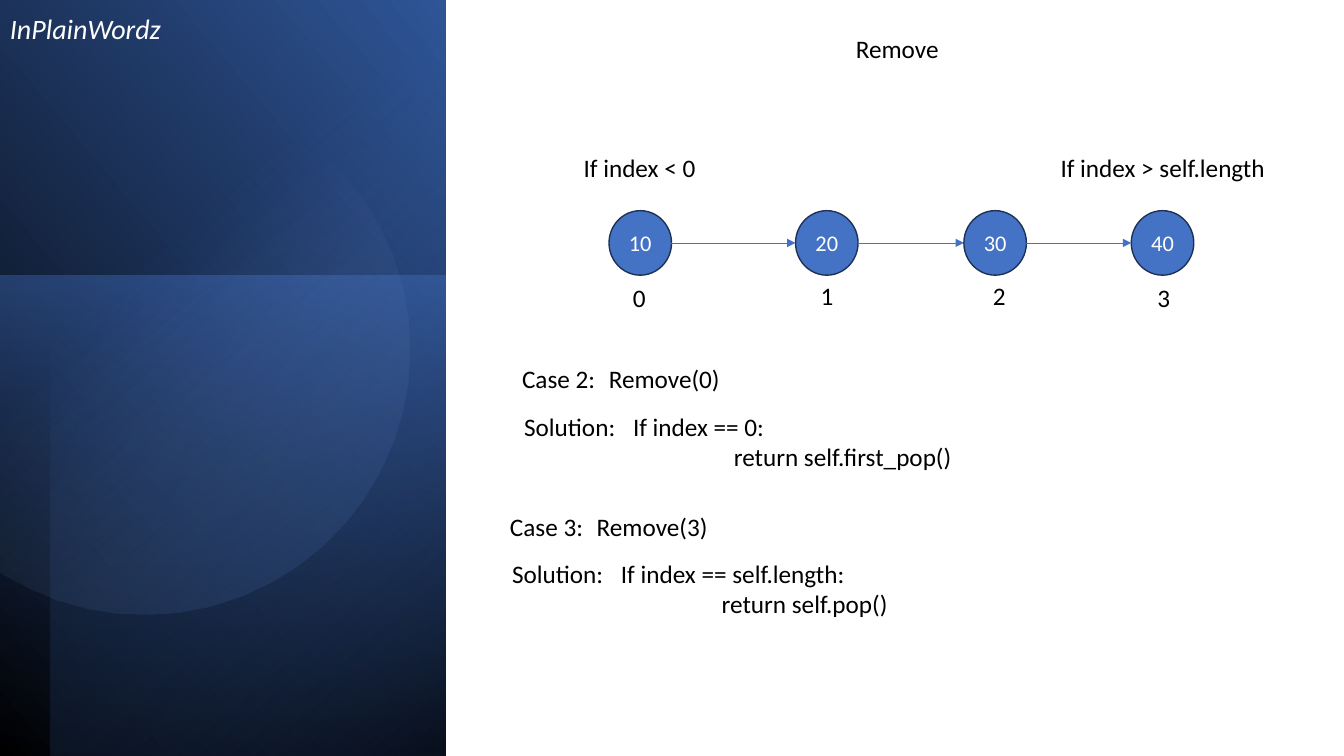
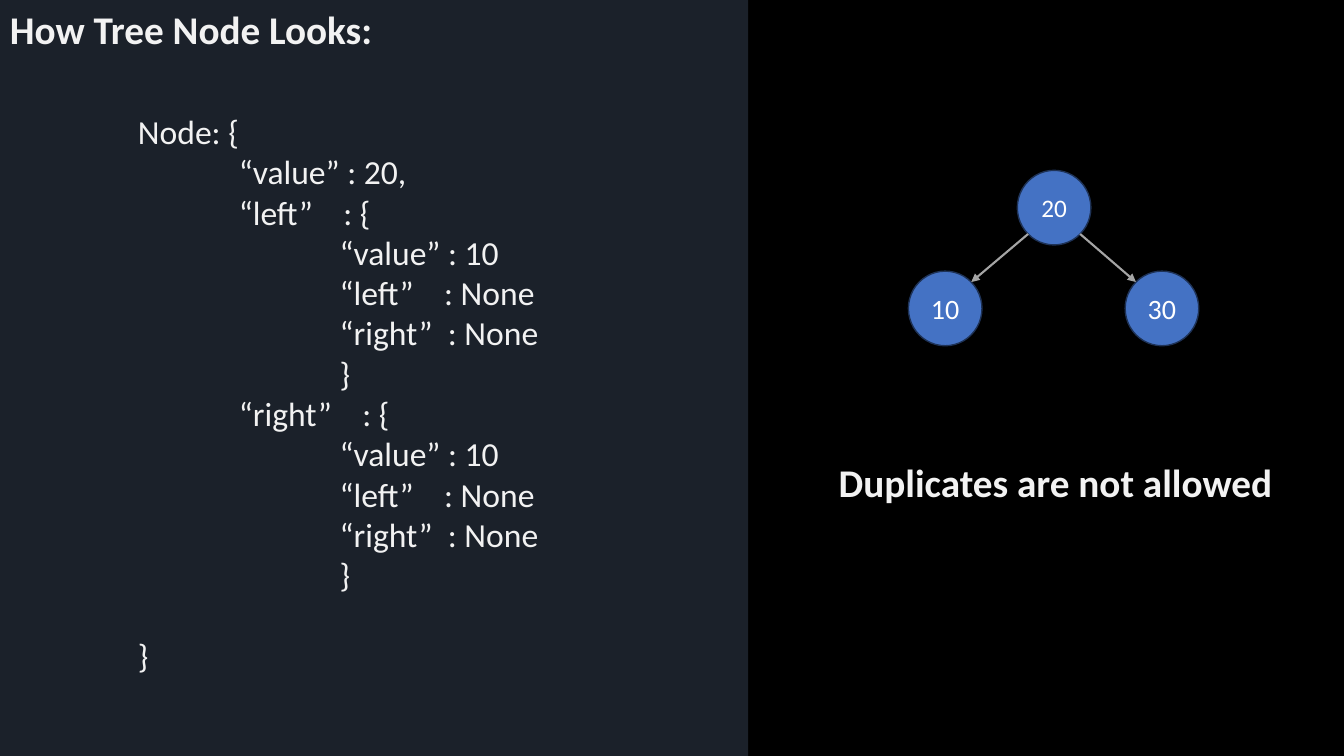
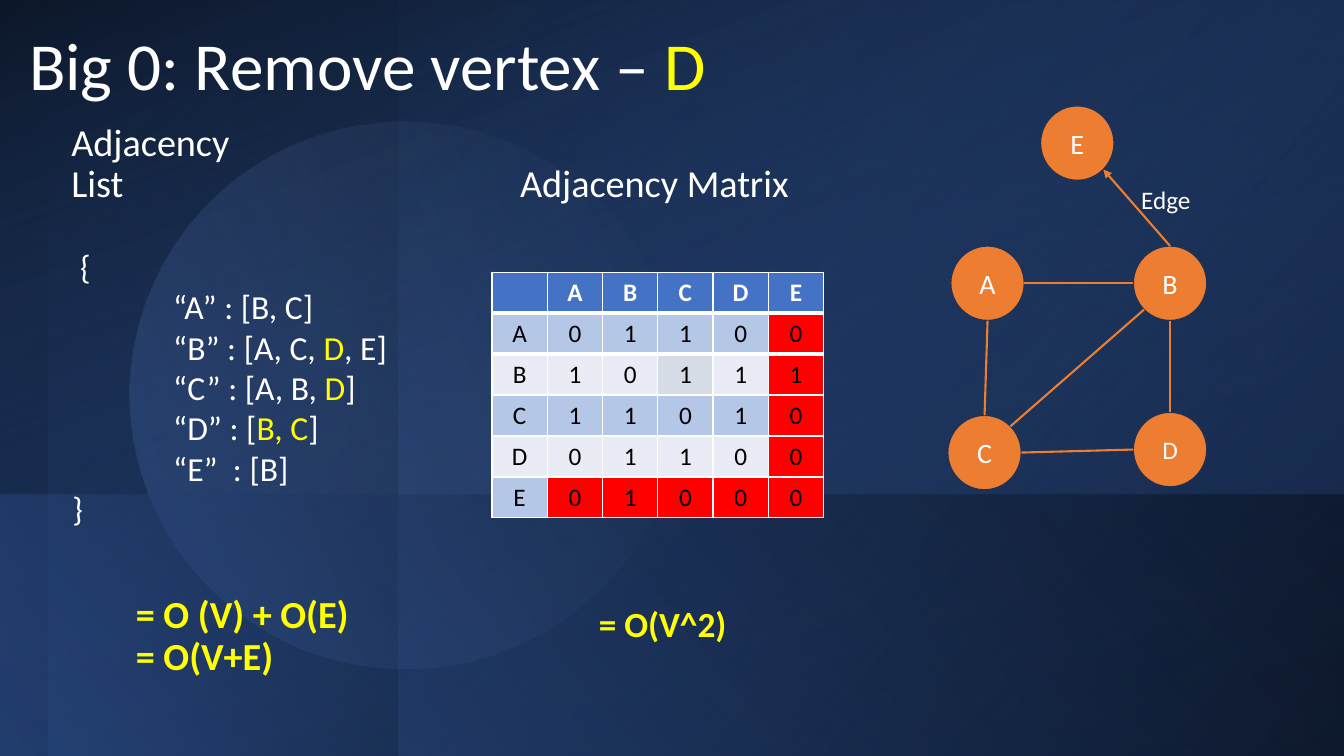
import math
from pptx import Presentation
from pptx.dml.color import RGBColor
from pptx.enum import shapes as es, text as et
from pptx.oxml import parse_xml
from pptx.oxml.ns import nsdecls, qn
from pptx.util import Inches, Pt

FONT = "Calibri"
WHITE = RGBColor(0xFF, 0xFF, 0xFF)
PALE = RGBColor(0xF2, 0xF2, 0xF2)
BLACK = RGBColor(0, 0, 0)
SLATE = RGBColor(0x44, 0x54, 0x6A)
GREY = RGBColor(0xA5, 0xA5, 0xA5)
BLUE = RGBColor(0x44, 0x72, 0xC4)
DEEP = RGBColor(0x2F, 0x55, 0x97)
NAVY = RGBColor(0x20, 0x38, 0x64)
SKY = RGBColor(0x8F, 0xAA, 0xDC)
RIM = RGBColor(0x1E, 0x32, 0x56)
ORANGE = RGBColor(0xED, 0x7D, 0x31)
YELLOW = RGBColor(0xFF, 0xFF, 0)
RED = RGBColor(0xFF, 0, 0)
BAND = RGBColor(0xB4, 0xC7, 0xE7)
LIGHT = RGBColor(0xE9, 0xEB, 0xF5)
MARK = RGBColor(0xD6, 0xDC, 0xE5)

OVAL = es.MSO_SHAPE.OVAL
RECT = es.MSO_SHAPE.RECTANGLE
TOP, BOTTOM = et.MSO_ANCHOR.TOP, et.MSO_ANCHOR.BOTTOM


def paint(shape, stops, angle=0):
    """Fill with (position, colour, opacity) stops; one stop gives a plain fill."""
    shape.shadow.inherit = False
    shape.fill.background()
    shape.line.fill.background()
    tints = [f'<a:srgbClr val="{tint}"><a:alpha val="{alpha * 1000}"/></a:srgbClr>'
             for _, tint, alpha in stops]
    if len(stops) == 1:
        xml = f'<a:solidFill {nsdecls("a")}>{tints[0]}</a:solidFill>'
    else:
        marks = "".join(f'<a:gs pos="{stop[0] * 1000}">{tint}</a:gs>'
                        for stop, tint in zip(stops, tints))
        xml = (f'<a:gradFill {nsdecls("a")} rotWithShape="1"><a:gsLst>{marks}</a:gsLst>'
               f'<a:lin ang="{round(angle * 60000)}" scaled="0"/></a:gradFill>')
    props = shape._element.spPr
    props.replace(props.find(qn("a:noFill")), parse_xml(xml))


def panel(slide, box, stops, angle=0, turn=0, flip=False, kind=RECT):
    shape = slide.shapes.add_shape(kind, *map(Inches, box))
    shape.rotation = turn
    if flip:
        shape._element.spPr.find(qn("a:xfrm")).set("flipH", "1")
    paint(shape, stops, angle)


def cut_disc(slide, x, y, radius, stops, angle):
    """Draw a disc cut off at the slide's left edge."""
    limit = math.acos(-x / radius)
    turns = [limit * (i / 18 - 1) for i in range(37)]
    points = [(Inches(x + radius * math.cos(t)), Inches(y + radius * math.sin(t)))
              for t in turns]
    path = slide.shapes.build_freeform(*points[0])
    path.add_line_segments(points[1:], close=True)
    paint(path.convert_to_shape(), stops, angle)


def write(slide, box, lines, size=18, color=BLACK, bold=False, italic=False,
          anchor=TOP, wrap=False, spacing=None):
    """Add text; parts between asterisks turn yellow."""
    frame = slide.shapes.add_textbox(*map(Inches, box)).text_frame
    frame.word_wrap = wrap
    frame.vertical_anchor = anchor
    for i, line in enumerate(lines.split("\n")):
        para = frame.paragraphs[0] if i == 0 else frame.add_paragraph()
        para._p.get_or_add_pPr().set("defTabSz", str(Inches(1)))
        style(para, size, color, bold)
        para.font.italic = italic
        if spacing:
            para.line_spacing = spacing
        for j, part in enumerate(line.split("*")):
            if part:
                run = para.add_run()
                run.text = part
                if j % 2:
                    run.font.color.rgb = YELLOW
    return frame


def style(para, size, color, bold=False):
    font = para.font
    font.name, font.size, font.bold = FONT, Pt(size), bold
    font.color.rgb = color


def node(slide, label, x, y, fill=BLUE, size=20, wide=0.73, high=0.74):
    shape = slide.shapes.add_shape(OVAL, *map(Inches, (x, y, wide, high)))
    shape.shadow.inherit = False
    shape.fill.solid()
    shape.fill.fore_color.rgb = fill
    shape.line.color.rgb = RIM
    shape.line.width = Pt(1)
    frame = shape.text_frame
    frame.margin_left = frame.margin_right = 0
    frame.vertical_anchor = et.MSO_ANCHOR.MIDDLE
    para = frame.paragraphs[0]
    para.text = label
    para.alignment = et.PP_ALIGN.CENTER
    style(para, size, WHITE)
    return shape


def rim(shape, angle):
    """Point on a node's outline, clockwise in degrees from its right side."""
    turn = math.radians(angle)
    return (round(shape.left + shape.width / 2 * (1 + math.cos(turn))),
            round(shape.top + shape.height / 2 * (1 + math.sin(turn))))


def link(slide, start, out, end, into, color, width=1.5, arrow=False):
    line = slide.shapes.add_connector(es.MSO_CONNECTOR.STRAIGHT,
                                      *rim(start, out), *rim(end, into))
    line.line.color.rgb = color
    line.line.width = Pt(width)
    props = line._element.spPr
    if arrow:
        props.find(qn("a:ln")).append(
            parse_xml(f'<a:tailEnd {nsdecls("a")} type="triangle"/>'))
    props.append(parse_xml(f'<a:effectLst {nsdecls("a")}/>'))


def rule(cell, side, width):
    """Give one side of a cell a white border."""
    cell._tc.get_or_add_tcPr().insert(0, parse_xml(
        f'<a:{side} {nsdecls("a")} w="{Pt(width)}"><a:solidFill>'
        f'<a:srgbClr val="{WHITE}"/></a:solidFill></a:{side}>'))


def matrix(slide, names, rows):
    count = len(names) + 1
    table = slide.shapes.add_table(count, count, Inches(4.88), Inches(2.7),
                                   Inches(3.29), Inches(2.44)).table
    grid = [" " + names] + [name + row for name, row in zip(names, rows)]
    for r, row in enumerate(grid):
        for c, value in enumerate(row):
            cell = table.cell(r, c)
            cell.vertical_anchor = et.MSO_ANCHOR.MIDDLE
            cell.fill.solid()
            if r == 0:
                fill = BLUE
                rule(cell, "lnB", 3)
            elif c and count - 1 in (r, c):
                fill = RED
            elif (r, c) == (2, 3):
                fill = MARK
            else:
                fill = BAND if r % 2 else LIGHT
            if r == 1:
                rule(cell, "lnT", 3)
            cell.fill.fore_color.rgb = fill
            para = cell.text_frame.paragraphs[0]
            para.text = value.strip()
            para.alignment = et.PP_ALIGN.CENTER
            style(para, 18, BLACK if r else WHITE, r == 0)


def list_slide(slide):
    panel(slide, (-1.55, 1.55, 7.52, 4.42), [(0, BLACK, 100), (100, DEEP, 100)], 310, 90, True)
    panel(slide, (-0.17, 2.9, 4.76, 4.42), [(0, BLUE, 50), (100, NAVY, 0)], 190, 270)
    panel(slide, (-1.29, 1.79, 7.5, 3.92), [(0, BLACK, 59), (69, BLUE, 0)], 220, 270, True)
    cut_disc(slide, 1.43, 3.47, 2.63, [(39, SKY, 0), (100, DEEP, 26)], 51.6)
    write(slide, (0, -0.03, 1.88, 0.53), "InPlainWordz", 20, WHITE, italic=True,
          anchor=BOTTOM, spacing=0.9)
    write(slide, (8.39, 0.28, 1.03, 0.4), "Remove")

    nodes = [node(slide, label, x, 2.09, size=16, wide=0.62, high=0.64)
             for label, x in (("10", 6.04), ("20", 7.89), ("30", 9.56), ("40", 11.22))]
    for start, end in zip(nodes, nodes[1:]):
        link(slide, start, 0, end, 180, BLUE, 0.5, True)
    places = ((6.18, 2.75), (8.04, 2.73), (9.75, 2.73), (11.38, 2.75))
    for i, (x, y) in enumerate(places):
        write(slide, (x, y, 0.33, 0.4), str(i))
    write(slide, (5.69, 1.46, 1.33, 0.4), "If index < 0")
    write(slide, (10.42, 1.46, 2.25, 0.4), "If index > self.length")

    cases = (
        (5.08, 3.56, "Case 2:", "Remove(0)", 3.52,
         "If index == 0:\n\treturn self.first_pop()"),
        (4.96, 5.02, "Case 3:", "Remove(3)", 2.88,
         "If index == self.length:\n\treturn self.pop()"),
    )
    for x, y, case, call, wide, code in cases:
        write(slide, (x, y, 0.94, 0.4), case)
        write(slide, (x + 0.86, y, 1.31, 0.4), call)
        write(slide, (x + 0.02, y + 0.47, 1.12, 0.4), "Solution:")
        write(slide, (x + 1.1, y + 0.47, wide, 1.01), code)


def tree_slide(slide):
    panel(slide, (0, 0, 13.33, 7.5), [(0, BLACK, 100)])
    panel(slide, (0, 0, 7.42, 7.5), [(0, SLATE, 40)])
    root = node(slide, "20", 10.09, 1.69, size=18)
    for label, x, out, into in (("10", 9.01, 135, 315), ("30", 11.16, 45, 225)):
        leaf = node(slide, label, x, 2.69)
        link(slide, root, out, leaf, into, GREY, arrow=True)
    inner = "\n\t\t“value” : 10\n\t\t“left”    : None\n\t\t“right”  : None\n\t\t}"
    code = write(slide, (1.27, 1.05, 4.21, 5.76),
                 "Node: {\n\t“value” : 20,\n\t“left”    : {" + inner
                 + "\n\t“right”    : {" + inner + "\n}", 24, PALE)
    code.paragraphs[-1].space_before = Pt(29)
    write(slide, (0, 0, 3.96, 0.57), "How Tree Node Looks:", 28, PALE, True, wrap=True)
    write(slide, (8.22, 4.5, 4.79, 0.57), "Duplicates are not allowed", 28, PALE, True,
          wrap=True)


def graph_slide(slide):
    panel(slide, (-0.01, 0, 13.37, 7.51), [(0, BLACK, 100), (100, DEEP, 100)], 70, 180)
    panel(slide, (0.48, 0, 12.87, 7.51), [(21, NAVY, 83), (100, BLUE, 0)], 140, 180, True)
    panel(slide, (-0.02, 0, 3.96, 7.51), [(0, DEEP, 0), (99, BLACK, 41)], 220, 180)
    panel(slide, (-0.02, 0, 13.38, 7.51), [(3, DEEP, 0), (100, BLACK, 73)], 290, flip=True)
    panel(slide, (4.9, -0.94, 7.5, 9.4), [(3, DEEP, 0), (100, BLACK, 27)], 230, 90, True)
    panel(slide, (1.3, 1.19, 5.43, 5.46), [(0, BLUE, 26), (85, SKY, 0)], 240, 99.9, kind=OVAL)
    panel(slide, (0, 4.91, 13.36, 2.6), [(0, DEEP, 50), (99, BLACK, 34)], 220, flip=True)

    low = dict(anchor=BOTTOM, wrap=True, spacing=0.9)
    write(slide, (0.19, 0.22, 8.17, 0.87), "Big 0: Remove vertex – *D*", 48, WHITE, **low)
    write(slide, (0.61, 1.57, 2.36, 0.52), "Adjacency List", 27.3, WHITE, **low)
    write(slide, (5.06, 1.57, 3.11, 0.52), "Adjacency Matrix", 27.3, WHITE, **low)
    write(slide, (0.62, 2.39, 3.34, 2.93),
          " {\n\t“A” : [B, C]\n\t“B” : [A, C, *D*, E]\n\t“C” : [A, B, *D*]\n"
          "\t“D” : [*B, C*]\n\t“E”  : [B]\n}", 24, WHITE, wrap=True)
    matrix(slide, "ABCDE", ("01100", "10111", "11010", "01100", "01000"))

    spots = {"A": (9.43, 2.44), "B": (11.24, 2.44), "C": (9.4, 4.12),
             "D": (11.24, 4.09), "E": (10.32, 1.05)}
    nodes = {name: node(slide, name, x, y, ORANGE, 18 if name == "D" else 20)
             for name, (x, y) in spots.items()}
    for start, out, end, into in (("A", 0, "B", 180), ("D", 270, "B", 90),
                                  ("C", 270, "A", 90), ("D", 180, "C", 0),
                                  ("B", 135, "C", 315), ("B", 270, "E", 45)):
        link(slide, nodes[start], out, nodes[end], into, ORANGE, arrow=end == "E")
    write(slide, (11.22, 1.78, 0.7, 0.4), "Edge", 18, WHITE)
    write(slide, (1.25, 5.74, 2.34, 1.04), "= O (V) + O(E)\n= O(V+E)", 27.3, YELLOW, True, **low)
    write(slide, (5.84, 5.99, 2.38, 0.45), "= O(V^2)", 25.2, YELLOW, True,
          anchor=BOTTOM, wrap=True, spacing=0.8)


def main():
    deck = Presentation()
    deck.slide_width, deck.slide_height = Inches(13.33), Inches(7.5)
    for build in (list_slide, tree_slide, graph_slide):
        build(deck.slides.add_slide(deck.slide_layouts[6]))
    deck.save("out.pptx")


if __name__ == "__main__":
    main()
